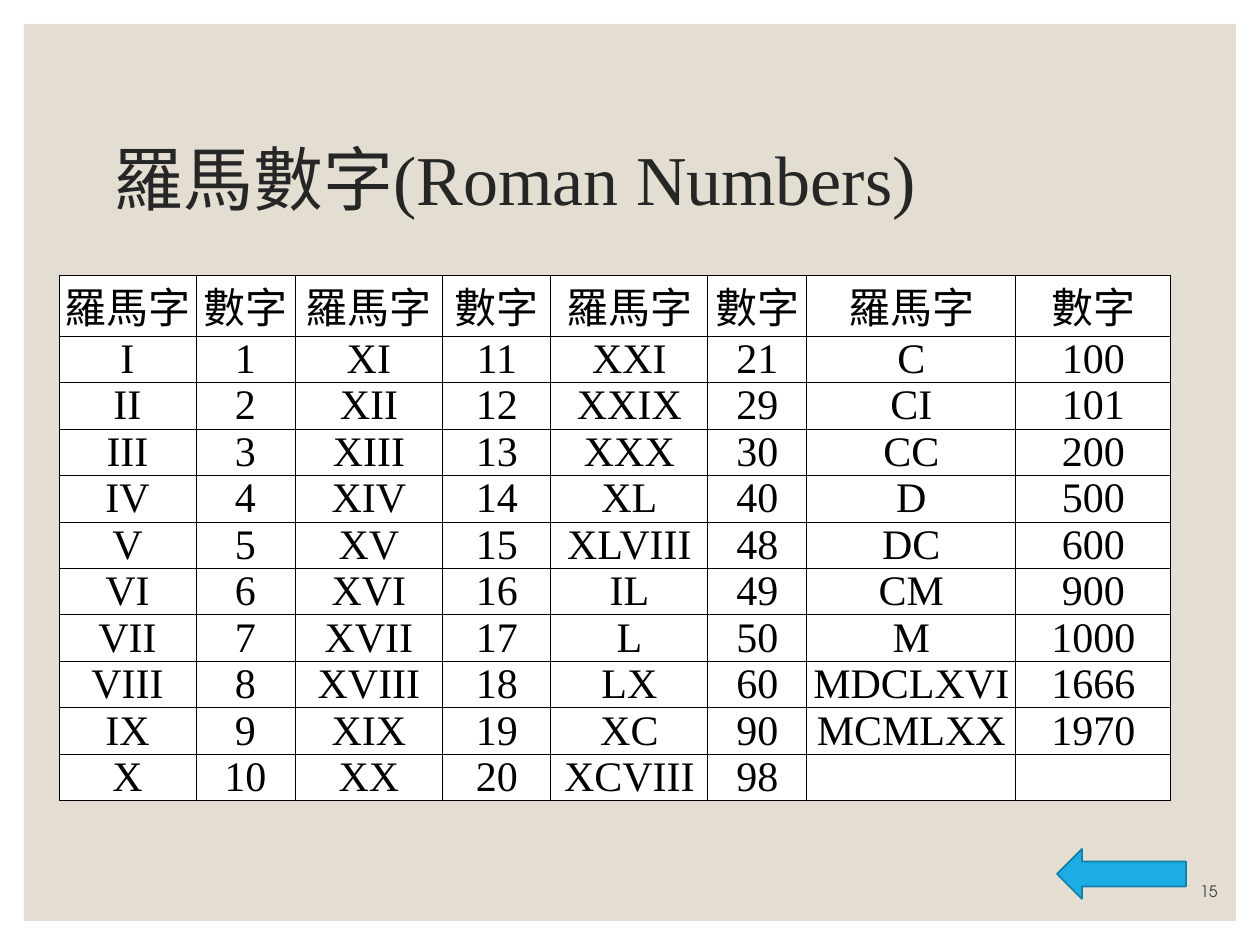
from dataclasses import dataclass

from lxml import etree
from pptx import Presentation
from pptx import util as u
from pptx.dml.color import RGBColor
from pptx.enum import shapes, text
from pptx.oxml import ns

PX = 914400 // 126  # one px in EMU


@dataclass(frozen=True)
class Theme:
    panel: str = "E3DED1"
    title: str = "262626"
    ink: str = "000000"
    cell: str = "FFFFFF"
    arrow: str = "1CADE4"
    arrow_line: str = "1580A9"
    page: str = "404040"
    latin: str = "Times New Roman"
    cjk: str = "Noto Sans CJK SC"
    page_font: str = "TeX Gyre Adventor"
    title_size: int = 40
    table_size: int = 24
    page_size: int = 9


theme = Theme()


def add_run(paragraph, words, size, color, font):
    run = paragraph.add_run()
    run.text = words
    run.font.size = u.Pt(size)
    run.font.color.rgb = RGBColor.from_string(color)
    run.font.name = font
    east_asian = etree.SubElement(run.font._element, ns.qn("a:ea"))
    east_asian.set("typeface", theme.cjk)


def add_borders(cell):
    properties = cell._tc.get_or_add_tcPr()
    for position, side in enumerate(("lnL", "lnR", "lnT", "lnB")):
        line = etree.Element(ns.qn(f"a:{side}"), w=str(u.Pt(0.5)))
        fill = etree.SubElement(line, ns.qn("a:solidFill"))
        etree.SubElement(fill, ns.qn("a:srgbClr"), val=theme.ink)
        properties.insert(position, line)


presentation = Presentation()
presentation.slide_width = 1260 * PX
presentation.slide_height = 945 * PX
slide = presentation.slides.add_slide(presentation.slide_layouts[5])

# Title
title = slide.shapes.title
title.left, title.top, title.width, title.height = (n * PX for n in (101, 88, 1058, 189))
title.text_frame.vertical_anchor = text.MSO_ANCHOR.MIDDLE
paragraph = title.text_frame.paragraphs[0]
paragraph.alignment = text.PP_ALIGN.LEFT
paragraph.line_spacing = 0.9
add_run(paragraph, "羅馬數字(Roman Numbers)", theme.title_size, theme.title, theme.latin)

# Background panel, behind the title
panel = slide.shapes.add_shape(
    shapes.MSO_SHAPE.RECTANGLE, *(n * PX for n in (24, 24, 1212, 897)))
panel.shadow.inherit = False
panel.fill.solid()
panel.fill.fore_color.rgb = RGBColor.from_string(theme.panel)
panel.line.fill.background()
title.element.addprevious(panel.element)

# Table of numerals: four pairs of columns, each read downwards
column_pairs = [
    ("I II III IV V VI VII VIII IX X", range(1, 11)),
    ("XI XII XIII XIV XV XVI XVII XVIII XIX XX", range(11, 21)),
    ("XXI XXIX XXX XL XLVIII IL L LX XC XCVIII",
     (21, 29, 30, 40, 48, 49, 50, 60, 90, 98)),
    ("C CI CC D DC CM M MDCLXVI MCMLXX",
     (100, 101, 200, 500, 600, 900, 1000, 1666, 1970)),
]
columns = []
for numerals, numbers in column_pairs:
    columns.append(["羅馬字", *numerals.split()])
    columns.append(["數字", *map(str, numbers)])

widths = [137, 99, 148, 108, 157, 99, 209, 155]
heights = [61] + [46] * 10
frame = slide.shapes.add_table(
    len(heights), len(widths), 59 * PX, 275 * PX, sum(widths) * PX, sum(heights) * PX)
table = frame.table
for row, height in zip(table.rows, heights):
    row.height = height * PX
for column_index, (width, entries) in enumerate(zip(widths, columns)):
    table.columns[column_index].width = width * PX
    for row_index in range(len(heights)):
        cell = table.cell(row_index, column_index)
        cell.margin_left = cell.margin_right = 2 * PX
        cell.margin_top = cell.margin_bottom = 0
        cell.fill.solid()
        cell.fill.fore_color.rgb = RGBColor.from_string(theme.cell)
        add_borders(cell)
        if row_index < len(entries):
            paragraph = cell.text_frame.paragraphs[0]
            paragraph.alignment = text.PP_ALIGN.CENTER
            font = theme.latin if row_index else theme.cjk
            add_run(paragraph, entries[row_index], theme.table_size, theme.ink, font)

# Back arrow
arrow = slide.shapes.add_shape(
    shapes.MSO_SHAPE.LEFT_ARROW, *(n * PX for n in (1057, 849, 129, 50)))
arrow.shadow.inherit = False
arrow.fill.solid()
arrow.fill.fore_color.rgb = RGBColor.from_string(theme.arrow)
arrow.line.color.rgb = RGBColor.from_string(theme.arrow_line)
arrow.line.width = u.Pt(1)

# Page number
page_box = slide.shapes.add_textbox(*(n * PX for n in (1079, 869, 151, 38)))
page_box.text_frame.word_wrap = True
page_box.text_frame.vertical_anchor = text.MSO_ANCHOR.BOTTOM
paragraph = page_box.text_frame.paragraphs[0]
paragraph.alignment = text.PP_ALIGN.RIGHT
add_run(paragraph, "15", theme.page_size, theme.page, theme.page_font)

presentation.save("out.pptx")
